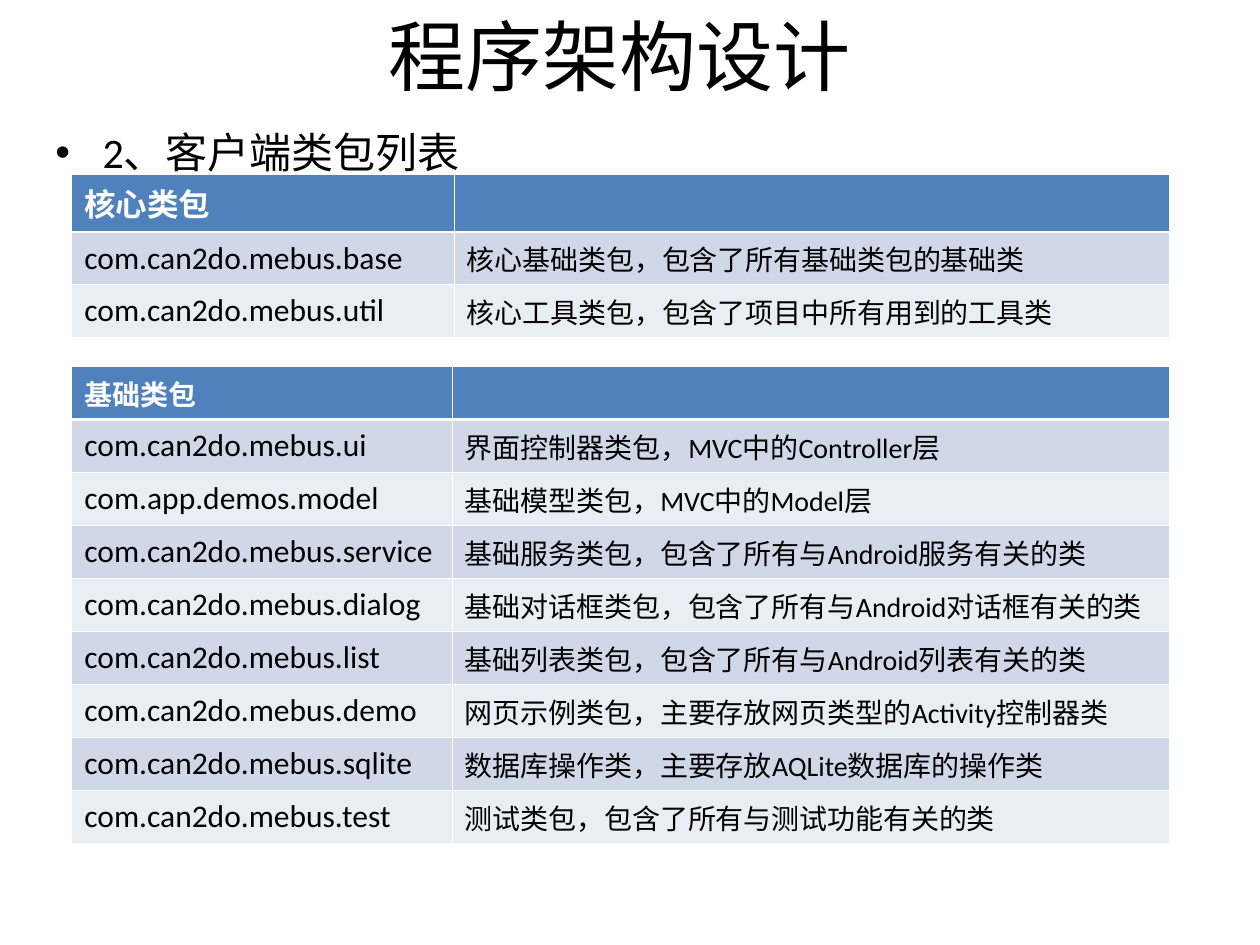
from lxml.etree import SubElement
from pptx import Presentation
from pptx.dml.color import RGBColor
from pptx.enum.text import MSO_ANCHOR, PP_ALIGN
from pptx.oxml.ns import qn
from pptx.util import Inches, Pt

BLACK = RGBColor(0x00, 0x00, 0x00)
WHITE = RGBColor(0xFF, 0xFF, 0xFF)
BLUE = RGBColor(0x4F, 0x81, 0xBD)
BANDS = RGBColor(0xD0, 0xD8, 0xE8), RGBColor(0xE9, 0xED, 0xF4)
FONT = "Calibri"
WIDE, HIGH = Inches(10), Inches(7.5)
COL, ROW = WIDE / 100, HIGH / 75
THIN, THICK = 0.45, 1.47

CORE = [
    ("核心类包", ""),
    ("com.can2do.mebus.base", "核心基础类包，包含了所有基础类包的基础类"),
    ("com.can2do.mebus.util", "核心工具类包，包含了项目中所有用到的工具类"),
]
BASE = [
    ("基础类包", ""),
    ("com.can2do.mebus.ui", "界面控制器类包，MVC中的Controller层"),
    ("com.app.demos.model", "基础模型类包，MVC中的Model层"),
    ("com.can2do.mebus.service", "基础服务类包，包含了所有与Android服务有关的类"),
    ("com.can2do.mebus.dialog", "基础对话框类包，包含了所有与Android对话框有关的类"),
    ("com.can2do.mebus.list", "基础列表类包，包含了所有与Android列表有关的类"),
    ("com.can2do.mebus.demo", "网页示例类包，主要存放网页类型的Activity控制器类"),
    ("com.can2do.mebus.sqlite", "数据库操作类，主要存放AQLite数据库的操作类"),
    ("com.can2do.mebus.test", "测试类包，包含了所有与测试功能有关的类"),
]


def grid(left, top, width, height):
    """Turn columns and rows of the slide grid into lengths."""
    return int(left * COL), int(top * ROW), int(width * COL), int(height * ROW)


def write(frame, text, size, color=BLACK, bold=False):
    para = frame.paragraphs[0]
    para.text = text
    for run in para.runs:
        font = run.font
        font.name, font.size, font.bold = FONT, Pt(size), bold
        font.color.rgb = color
    return para


def add_title(slide, box, text):
    title = slide.shapes.title
    title.left, title.top, title.width, title.height = box
    title.text_frame.vertical_anchor = MSO_ANCHOR.MIDDLE
    write(title.text_frame, text, 44).alignment = PP_ALIGN.CENTER


def add_point(slide, box, text):
    frame = slide.shapes.add_textbox(*box).text_frame
    frame.word_wrap = True
    para = write(frame, text, 24)
    para.line_spacing = 0.9
    props = para._p.get_or_add_pPr()
    indent = int(3.75 * COL)
    props.set("marL", str(indent))
    props.set("indent", str(-indent))
    SubElement(props, qn("a:buFont"), typeface="Arial")
    SubElement(props, qn("a:buChar"), char="•")


def add_edges(cell, top, bottom):
    """Draw white cell borders; top and bottom are widths in points."""
    props = cell._tc.get_or_add_tcPr()
    for side, width in zip("LRTB", (THIN, THIN, top, bottom)):
        line = SubElement(props, qn(f"a:ln{side}"), w=str(int(Pt(width))))
        fill = SubElement(line, qn("a:solidFill"))
        SubElement(fill, qn("a:srgbClr"), val=str(WHITE))


def add_list(slide, box, rows, split, head, size):
    """Add a package table; split is the first column in grid columns,
    head the height of the first row and size its type size."""
    table = slide.shapes.add_table(len(rows), 2, *box).table
    table.horz_banding = False
    table.columns[0].width = int(split * COL)
    table.columns[1].width = box[2] - int(split * COL)
    rest = (box[3] - head * ROW) / (len(rows) - 1)
    for r, texts in enumerate(rows):
        table.rows[r].height = int(rest if r else head * ROW)
        for c, text in enumerate(texts):
            cell = table.cell(r, c)
            cell.vertical_anchor = MSO_ANCHOR.MIDDLE
            cell.margin_right = int(COL / 2)
            add_edges(cell, THICK if r == 1 else THIN, THIN if r else THICK)
            cell.fill.solid()
            cell.fill.fore_color.rgb = BANDS[(r - 1) % 2] if r else BLUE
            if r:
                write(cell.text_frame, text, (18, 16)[c])
            else:
                write(cell.text_frame, text, size, WHITE, True)


def main():
    deck = Presentation()
    deck.slide_width, deck.slide_height = WIDE, HIGH
    slide = deck.slides.add_slide(deck.slide_layouts[5])
    add_title(slide, grid(4.2, 0.1, 90, 8.5), "程序架构设计")
    add_point(slide, grid(3.4, 10, 45.8, 5.5), "2、客户端类包列表")
    add_list(slide, grid(5.7, 13.8, 87.1, 13), CORE, 30.35, 4.6, 18)
    add_list(slide, grid(5.7, 29.1, 87.1, 37.85), BASE, 30.2, 4.2, 16)
    deck.save("out.pptx")


if __name__ == "__main__":
    main()
